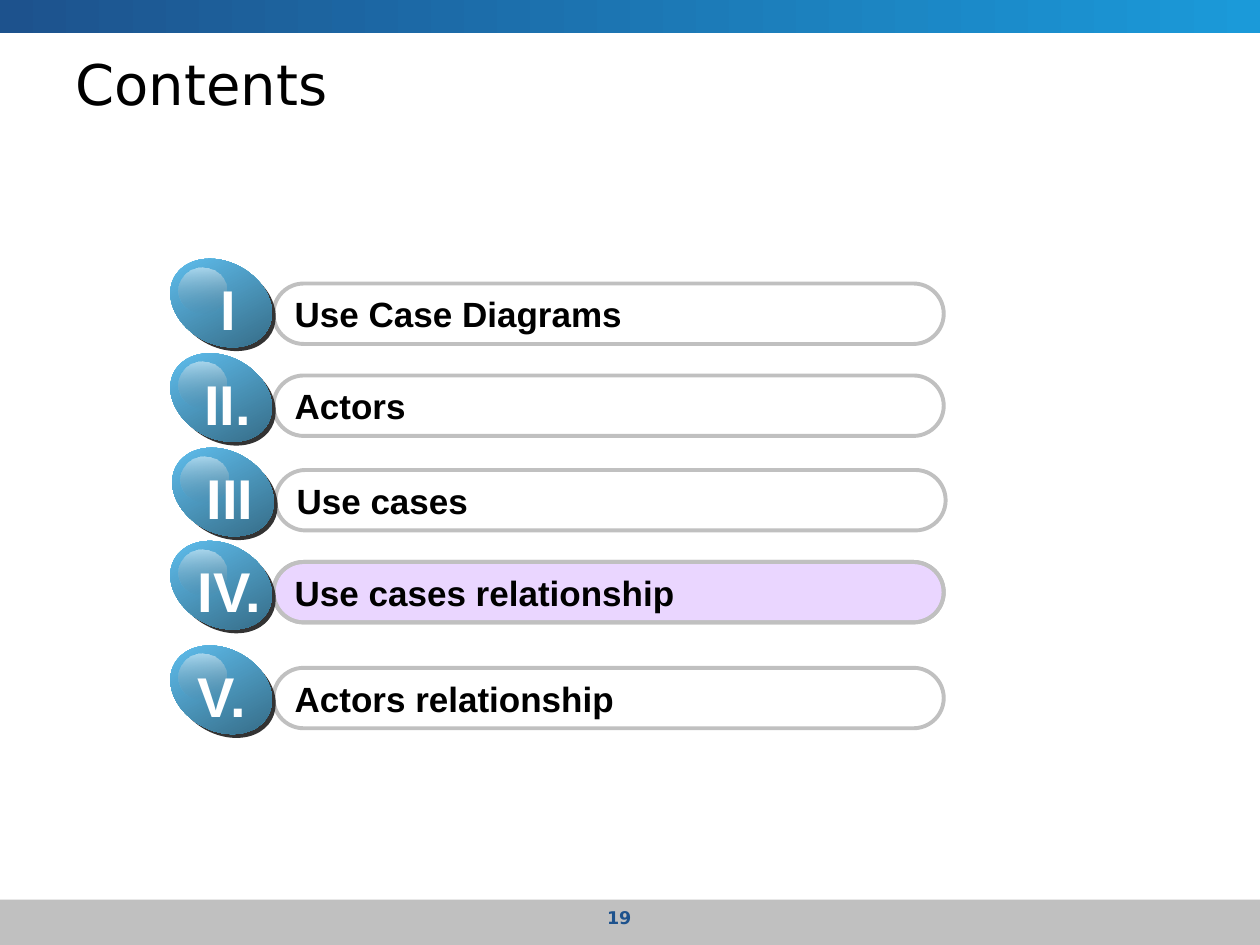
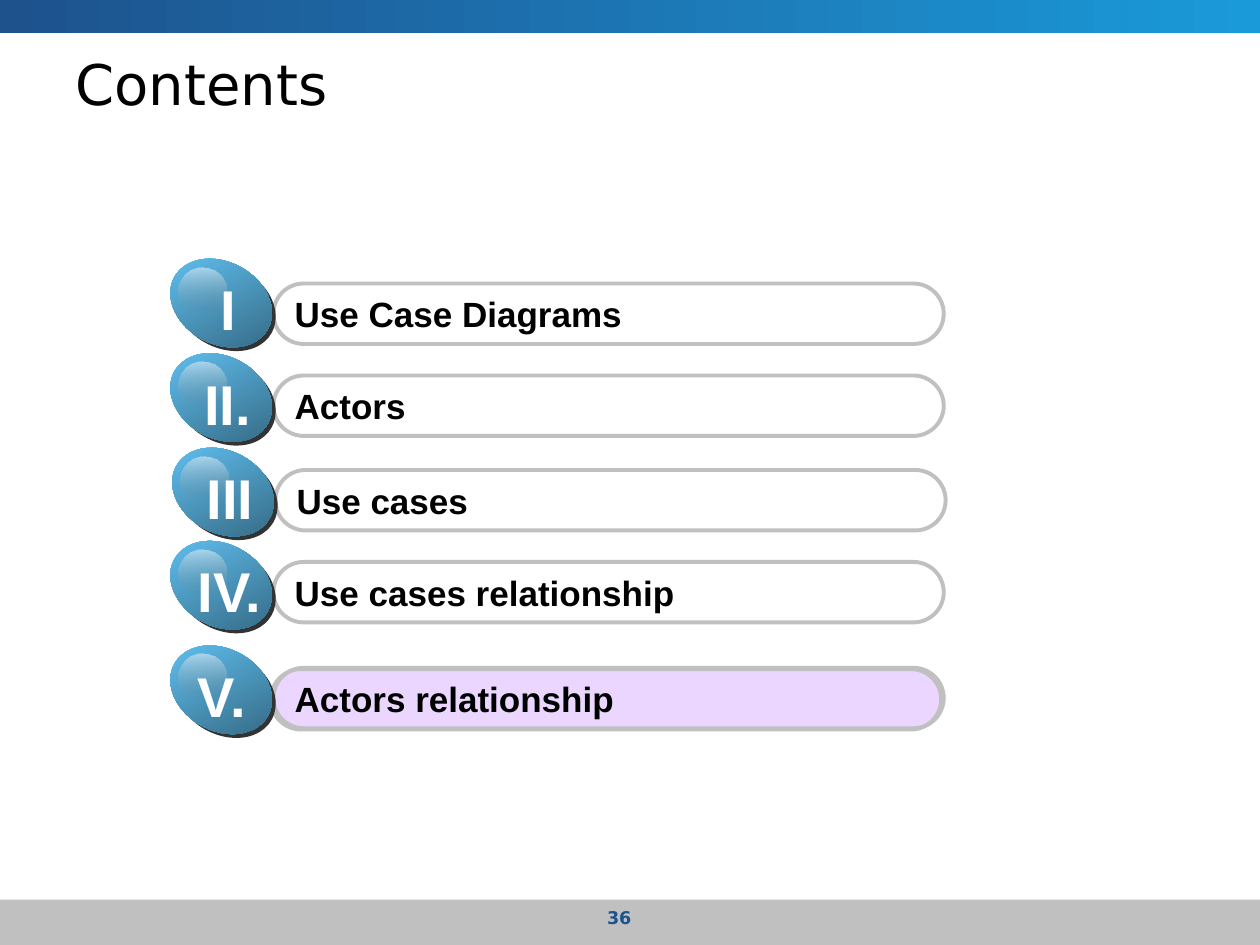
"""Build two contents slides, each with one topic highlighted."""
from lxml import etree
from pptx import Presentation
from pptx.dml.color import RGBColor
from pptx.enum.shapes import MSO_SHAPE
from pptx.enum.text import MSO_ANCHOR, PP_ALIGN
from pptx.oxml.ns import qn
from pptx.util import Inches, Pt

RECT, ROUND, OVAL = MSO_SHAPE.RECTANGLE, MSO_SHAPE.ROUNDED_RECTANGLE, MSO_SHAPE.OVAL
LEFT, MID = PP_ALIGN.LEFT, PP_ALIGN.CENTER
TOP, CENTER = MSO_ANCHOR.TOP, MSO_ANCHOR.MIDDLE
HEAD, BODY = "DejaVu Sans", "Arial"
NAVY, SKY, GRAY, BLACK, WHITE = "1D528D", "1B9AD9", "C0C0C0", "000000", "FFFFFF"
TILT = 29.3

deck = Presentation()
deck.slide_width, deck.slide_height = Inches(10), Inches(7.5)
COL, ROW = deck.slide_width / 100, deck.slide_height / 75


def draw(shapes, kind, box, stops=(), angle=0, edge=None, turn=0):
    """Add a shape on the grid; stops are (hex, opacity) pairs, one or two."""
    x, y, w, h = box
    form = shapes.add_shape(kind, int(x * COL), int(y * ROW), int(w * COL), int(h * ROW))
    form.shadow.inherit = False
    form.rotation = turn
    fill = form.fill
    if len(stops) == 2:
        fill.gradient()
        fill.gradient_angle = -angle % 360
        form.element.spPr.find(qn("a:gradFill")).set("rotWithShape", "0")
        paints = [stop.color for stop in fill.gradient_stops]
    elif stops:
        fill.solid()
        paints = [fill.fore_color]
    else:
        fill.background()
        paints = []
    for paint, (tone, _) in zip(paints, stops):
        paint.rgb = RGBColor.from_string(tone)
    for node, (_, share) in zip(form.element.spPr.iter(qn("a:srgbClr")), stops):
        if share < 100:
            etree.SubElement(node, qn("a:alpha")).set("val", str(share * 1000))
    if edge:
        form.line.color.rgb = RGBColor.from_string(edge)
        form.line.width = Pt(2.25)
    else:
        form.line.fill.background()
    return form


def write(form, text, font, size, tone, bold=True, align=LEFT, anchor=CENTER, wrap=True):
    """Put one styled line of text into a shape."""
    frame = form.text_frame
    frame.text = text
    frame.word_wrap = wrap
    frame.vertical_anchor = anchor
    line = frame.paragraphs[0]
    line.alignment = align
    style = line.runs[0].font
    style.name, style.size, style.bold = font, Pt(size), bold
    style.color.rgb = RGBColor.from_string(tone)


# Numeral, topic, bar top, ball top, sideways nudge, numeral left and width
topics = [
    ("I.", "Use Case Diagrams", 22.5, 20.8, 0, 15.9, 4.4),
    ("II.", "Actors", 29.8, 28.3, 0, 15.2, 5.7),
    ("III.", "Use cases", 37.3, 35.8, 0.15, 14.8, 6.9),
    ("IV.", "Use cases relationship", 44.6, 43.2, 0, 14.5, 7.4),
    ("V.", "Actors relationship", 53, 51.5, 0, 14.5, 6.2),
]
# Page number, highlighted numeral, offset of the highlight
pages = [("19", "IV.", 0, 0), ("36", "V.", -0.2, 0.1)]

for page, focus, dx, dy in pages:
    shapes = deck.slides.add_slide(deck.slide_layouts[6]).shapes
    draw(shapes, RECT, (0, 71.4, 100, 3.6), [(GRAY, 100)])
    draw(shapes, RECT, (0, 0, 100, 2.6), [(NAVY, 100), (SKY, 100)])
    for text, box, size, tone, bold, align, anchor in [
        (page, (37.5, 71.5, 23.3, 2.8), 10, NAVY, True, MID, TOP),
        ("Contents", (5, 3.5, 90, 6.2), 32, BLACK, False, LEFT, CENTER),
    ]:
        x, y, w, h = box
        label = shapes.add_textbox(int(x * COL), int(y * ROW), int(w * COL), int(h * ROW))
        write(label, text, HEAD, size, tone, bold, align, anchor)

    for mark, topic, top, ball, nudge, left, width in topics:
        bar = (21.7 + nudge, top, 53.2, 4.8)
        if mark == focus:
            glow = draw(shapes, ROUND, (bar[0] + dx, top + dy, *bar[2:]), [("CC99FF", 40)], edge=GRAY)
            glow.adjustments[0] = 0.5
        pill = draw(shapes, ROUND, bar, edge=GRAY)
        pill.adjustments[0] = 0.5
        write(pill, topic, BODY, 20, BLACK)

        badge = shapes.add_group_shape().shapes
        x = 13.3 + nudge
        draw(badge, OVAL, (x + 0.3, ball + 0.3, 8.5, 6.5), [("333333", 100)], turn=TILT)
        draw(badge, OVAL, (x, ball, 8.5, 6.5), [("66CCFF", 100), ("2F5E76", 100)], 61, turn=TILT)
        draw(badge, OVAL, (x + 0.9, ball + 0.4, 3.8, 3.7), [(WHITE, 50), ("767676", 0)], 90)
        sign = badge.add_textbox(int(left * COL), int((ball + 0.5) * ROW), int(width * COL), int(6.4 * ROW))
        write(sign, mark, BODY, 32, WHITE, align=MID, anchor=TOP, wrap=False)

deck.save("out.pptx")
